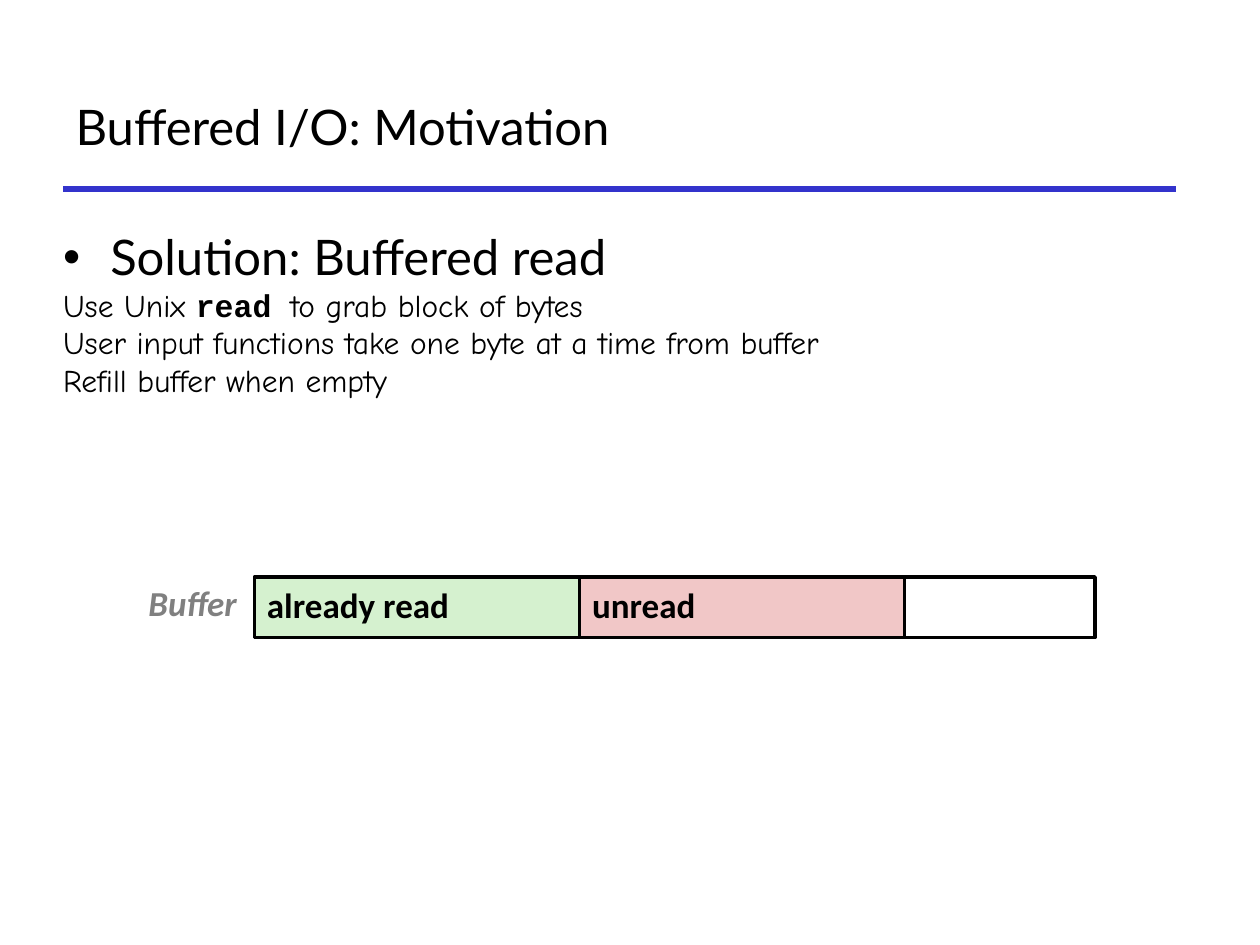
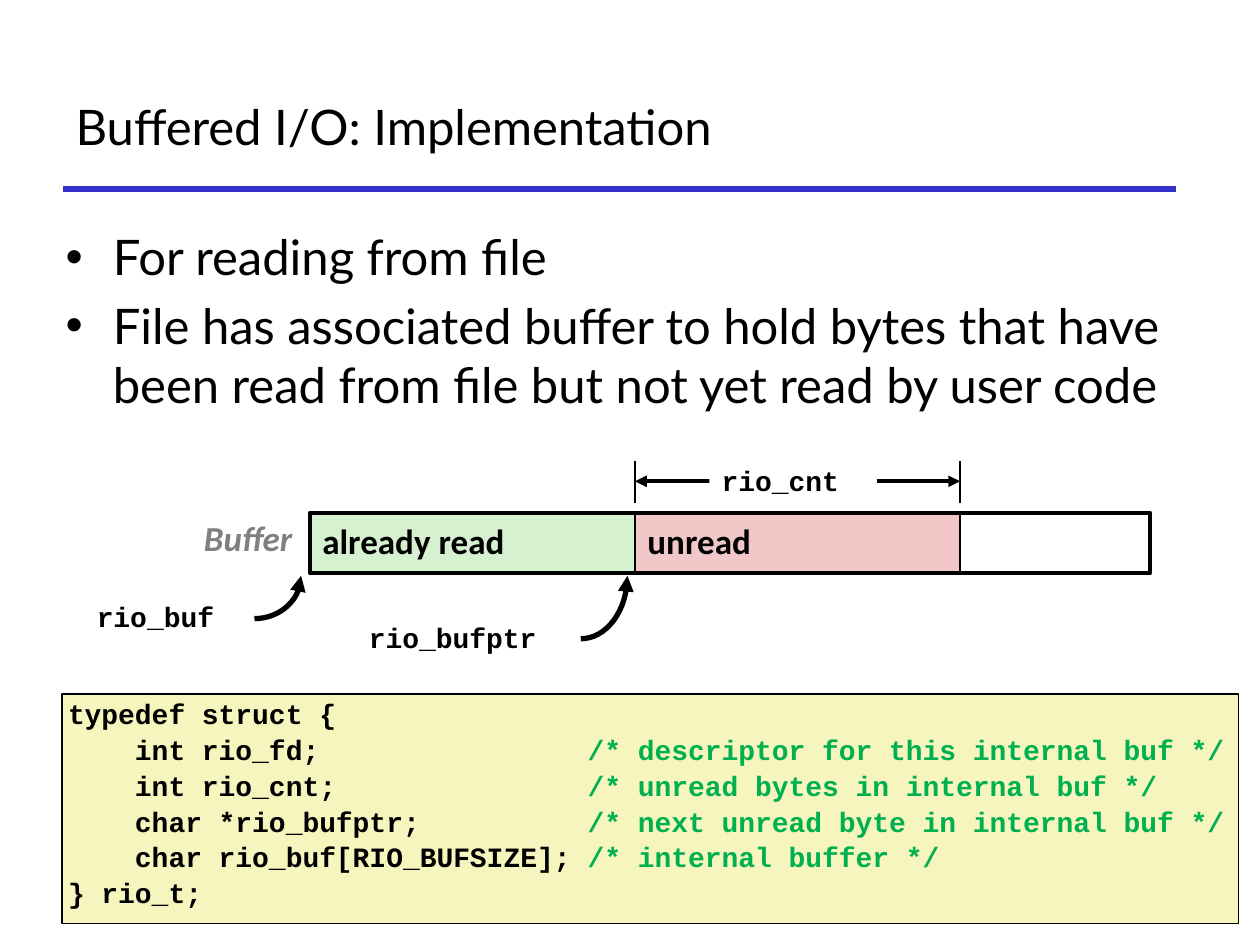
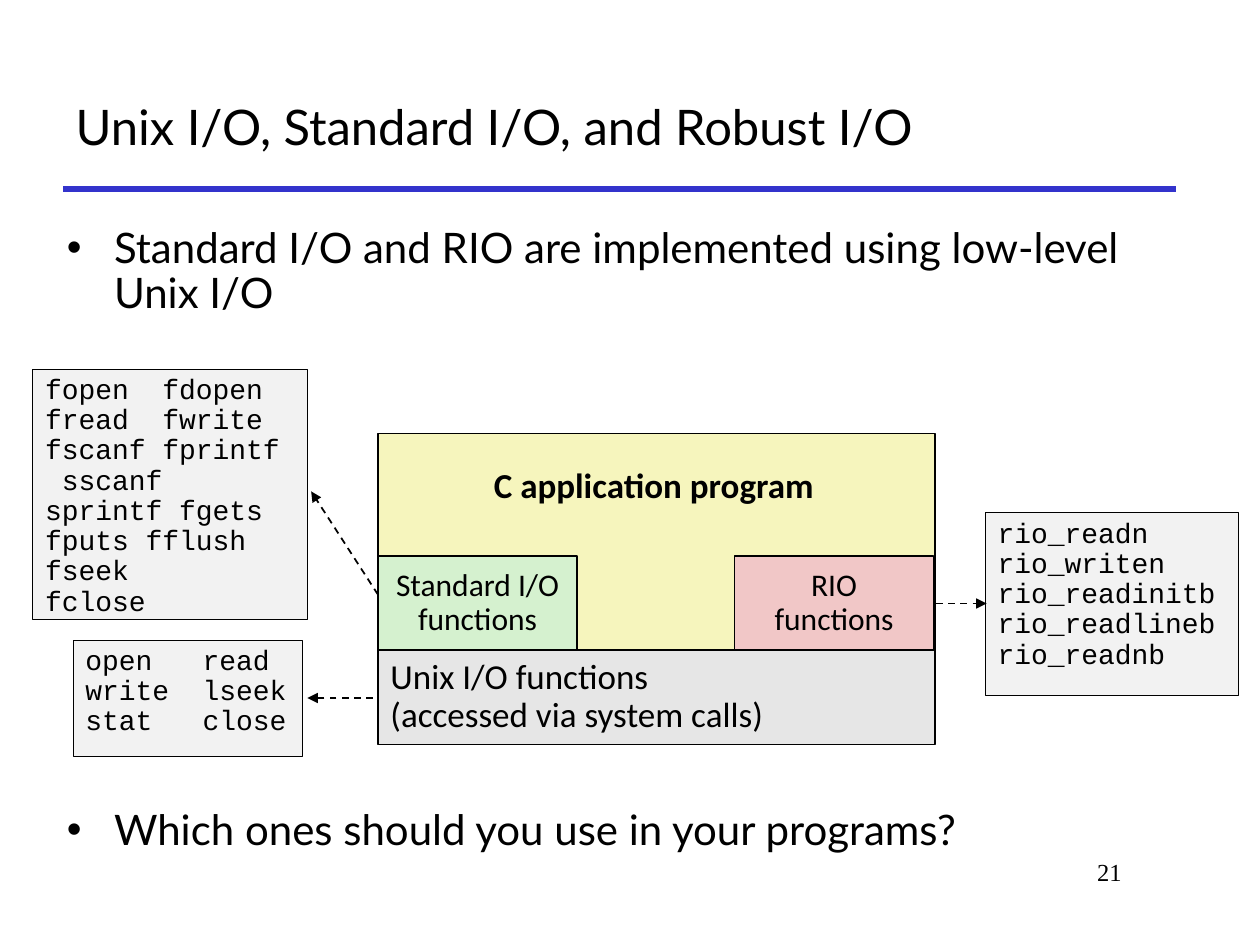
from math import cos, pi, sin

from lxml import etree
from pptx import Presentation
from pptx import util as u
from pptx.dml.color import RGBColor
from pptx.enum import dml, shapes, text
from pptx.oxml import ns

BLACK, GREEN, PINK, CREAM = "000000", "D5F1CF", "F1C7C7", "F6F5BD"
WHITE, PALE, SILVER, GRAY = "FFFFFF", "F2F2F2", "E6E6E6", "808080"
RULE, COMMENT = "3333CC", "00B050"
HEADING, LABEL, CODE, CASUAL = "Lato", "Calibri", "Courier New", "Comic Neue"
LEFT, CENTER, RIGHT = text.PP_ALIGN.LEFT, text.PP_ALIGN.CENTER, text.PP_ALIGN.RIGHT
TOP, MIDDLE = text.MSO_ANCHOR.TOP, text.MSO_ANCHOR.MIDDLE
TIGHT = 0.9
SEGMENT_WIDTH, BUFFER_WIDTH, BUFFER_HEIGHT = 2.58, 6.67, 0.48
SEGMENTS = [("already read", GREEN), ("unread", PINK)]
COMMENT_COLUMN = 31

MOTIVATION = "Buffered I/O: Motivation"
SOLUTION = ["Solution: Buffered read"]
SOLUTION_STEPS = [
    ["Use Unix ", ("read ", {"font": CODE, "bold": True}), "to grab block of bytes"],
    "User input functions take one byte at a time from buffer",
    "Refill buffer when empty",
]

IMPLEMENTATION = "Buffered I/O: Implementation"
BUFFER_FACTS = [
    "For reading from file",
    "File has associated buffer to hold bytes that have been read from file "
    "but not yet read by user code",
]
POINTERS = [
    ("rio_buf", (0.67, 4.74, 1.14, 0.34), (2.02, 4.57, 0.37, 0.34)),
    ("rio_bufptr", (2.83, 4.91, 1.75, 0.34), (4.61, 4.57, 0.37, 0.5)),
]
STRUCT = [
    ("typedef struct {", ""),
    ("    int rio_fd;", "/* descriptor for this internal buf */"),
    ("    int rio_cnt;", "/* unread bytes in internal buf */"),
    ("    char *rio_bufptr;", "/* next unread byte in internal buf */"),
    ("    char rio_buf[RIO_BUFSIZE];", "/* internal buffer */"),
    ("} rio_t;", ""),
]

COMPARISON = "Unix I/O, Standard I/O, and Robust I/O"
CLAIM = ["Standard I/O and RIO are implemented using low-level Unix I/O"]
QUESTION = ["Which ones should you use in your programs?"]
PROGRAM = ["C application program"]
UNIX_LAYER = ["Unix I/O functions", "(accessed via system calls)"]
LIBRARIES = [
    (["Standard I/O", "functions"], 3, GREEN),
    (["RIO", "functions"], 5.83, PINK),
]
FUNCTION_LISTS = [
    ((0.26, 2.93, 2.18, 1.99), True, [
        "fopen  fdopen",
        "fread  fwrite fscanf fprintf  sscanf sprintf fgets  fputs fflush fseek",
        "fclose",
    ]),
    ((0.58, 5.08, 1.82, 0.92), False, ["open   read", "write  lseek", "stat   close"]),
    ((7.82, 4.07, 2.01, 1.45), True, [
        "rio_readn", "rio_writen", "rio_readinitb", "rio_readlineb", "rio_readnb",
    ]),
]
FUNCTION_ARROWS = [
    ((2.96, 5.54), (2.44, 5.54)),
    ((3, 4.72), (2.47, 3.9)),
    ((7.43, 4.79), (7.83, 4.79)),
]


def inches(values):
    return [u.Inches(value) for value in values]


def color(value):
    return RGBColor.from_string(value)


def write(shape, lines, size=20, font=LABEL, fill=BLACK, bold=False, italic=False,
          align=LEFT, spacing=1, before=0.0, anchor=TOP, wrap=True, inset=None,
          plain=False):
    frame = shape.text_frame
    frame.auto_size = text.MSO_AUTO_SIZE.NONE
    frame.word_wrap = wrap
    frame.vertical_anchor = anchor
    if inset is not None:
        frame.margin_left = frame.margin_right = u.Inches(inset)
        frame.margin_top = frame.margin_bottom = u.Inches(inset)
    for line in lines:
        last = frame.paragraphs[-1]
        paragraph = frame.add_paragraph() if last.runs else last
        paragraph.alignment = align
        paragraph.line_spacing = spacing
        paragraph.space_before = u.Pt(before)
        if plain:
            properties = paragraph._p.get_or_add_pPr()
            properties.set("marL", "0")
            properties.set("indent", "0")
            etree.SubElement(properties, ns.qn("a:buNone"))
        for part in [line] if isinstance(line, str) else line:
            content, changes = (part, {}) if isinstance(part, str) else part
            run = paragraph.add_run()
            run.text = content
            run.font.size = u.Pt(size)
            run.font.name = changes.get("font", font)
            run.font.bold = changes.get("bold", bold)
            run.font.italic = italic
            run.font.color.rgb = color(changes.get("fill", fill))


def add_label(slide, area, lines, **style):
    label = slide.shapes.add_textbox(*inches(area))
    write(label, lines, **style)


def outline(shape, fill, width):
    shape.shadow.inherit = False
    if fill:
        shape.fill.solid()
        shape.fill.fore_color.rgb = color(fill)
    else:
        shape.fill.background()
    if width:
        shape.line.color.rgb = color(BLACK)
        shape.line.width = u.Pt(width)
    else:
        shape.line.fill.background()


def add_box(slide, area, fill=None, width=1.0, lines=(), **style):
    box = slide.shapes.add_shape(shapes.MSO_SHAPE.RECTANGLE, *inches(area))
    outline(box, fill, width)
    write(box, lines, **style)


def add_arrowheads(shape, ends):
    line = shape.line._get_or_add_ln()
    for end in ends:
        etree.SubElement(line, ns.qn(f"a:{end}"), type="triangle")


def add_line(slide, start, finish, width, stroke=BLACK, dashed=False, ends=()):
    line = slide.shapes.add_connector(
        shapes.MSO_CONNECTOR.STRAIGHT, *inches(start + finish))
    line.line.color.rgb = color(stroke)
    line.line.width = u.Pt(width)
    if dashed:
        line.line.dash_style = dml.MSO_LINE.DASH
    add_arrowheads(line, ends)
    etree.SubElement(line._element.spPr, ns.qn("a:effectLst"))


def add_curved_arrow(slide, left, top, width, height, steps=16):
    angles = [pi / 2 * step / steps for step in range(steps + 1)]
    points = [inches((left + width * cos(angle), top + height * sin(angle)))
              for angle in angles]
    builder = slide.shapes.build_freeform(*points[0])
    builder.add_line_segments(points[1:], close=False)
    arrow = builder.convert_to_shape()
    outline(arrow, None, 3)
    add_arrowheads(arrow, ["headEnd"])


def add_slide(presentation, title, body_area):
    slide = presentation.slides.add_slide(presentation.slide_layouts[1])
    add_line(slide, (0.5, 1.5), (9.33, 1.5), 3, RULE)
    heading, body = slide.placeholders
    for placeholder, area in [(heading, (0.5, 0.5, 8.83, 1)), (body, body_area)]:
        (placeholder.left, placeholder.top,
         placeholder.width, placeholder.height) = inches(area)
    write(heading, [title], size=28, font=HEADING, anchor=MIDDLE)
    return slide, body


def draw_buffer(slide, left, top):
    for index, (name, fill) in enumerate(SEGMENTS):
        area = (left + index * SEGMENT_WIDTH, top, SEGMENT_WIDTH, BUFFER_HEIGHT)
        add_box(slide, area, fill, 1.5, [name], bold=True, spacing=TIGHT,
                before=4, anchor=MIDDLE)
    add_box(slide, (left, top, BUFFER_WIDTH, BUFFER_HEIGHT), width=2.25)
    add_label(slide, (left - 0.94, top + 0.02, 0.92, 0.44), ["Buffer"], fill=GRAY,
              bold=True, italic=True, spacing=TIGHT, before=4, wrap=False)


def build_motivation(presentation):
    slide, body = add_slide(presentation, MOTIVATION, (0.4, 1.75, 9.09, 3))
    write(body, SOLUTION, size=28, font=HEADING, before=5.6)
    write(body, SOLUTION_STEPS, size=18, font=CASUAL, plain=True)
    draw_buffer(slide, 2.02, 4.58)


def build_implementation(presentation):
    slide, body = add_slide(presentation, IMPLEMENTATION, (0.42, 1.75, 9.09, 4.33))
    write(body, BUFFER_FACTS, size=28, font=HEADING, before=5.6)
    left, top = 2.46, 4.07
    draw_buffer(slide, left, top)
    code = dict(size=16, font=CODE, bold=True, spacing=TIGHT, before=3.2)
    for name, area, curve in POINTERS:
        add_label(slide, area, [name], **code)
        add_curved_arrow(slide, *curve)
    start, finish = left + SEGMENT_WIDTH, left + 2 * SEGMENT_WIDTH
    for edge in (start, finish):
        add_line(slide, (edge, 3.99), (edge, 3.66), 1.5)
    add_line(slide, (start, 3.82), (finish, 3.82), 2.25, ends=["headEnd", "tailEnd"])
    add_box(slide, (5.63, 3.66, 1.33, 0.34), WHITE, 0, ["rio_cnt"], **code)
    struct = [[source.ljust(COMMENT_COLUMN), (comment, {"fill": COMMENT})]
              if comment else source for source, comment in STRUCT]
    add_box(slide, (0.49, 5.51, 9.34, 1.82), CREAM, 1, struct, inset=0.05, **code)


def build_comparison(presentation):
    slide, body = add_slide(presentation, COMPARISON, (0.43, 1.75, 9.09, 4.91))
    point = dict(size=24, font=HEADING, spacing=TIGHT)
    write(body, CLAIM, before=4.8, **point)
    write(body, QUESTION, before=281, **point)
    add_label(slide, (7.58, 6.75, 1.42, 0.5), ["21"], size=14,
              font="Times New Roman", align=RIGHT)
    left, width, layer_top, layer_height = 3, 4.42, 5.16, 0.75
    add_box(slide, (left, 3.44, width, layer_top - 3.44), CREAM)
    add_box(slide, (left, layer_top, width, layer_height), SILVER, 1, UNIX_LAYER,
            spacing=TIGHT, anchor=MIDDLE)
    for name, library_left, fill in LIBRARIES:
        area = (library_left, layer_top - layer_height, 1.58, layer_height)
        add_box(slide, area, fill, 1, name, size=18, align=CENTER, spacing=TIGHT,
                anchor=MIDDLE)
    add_label(slide, (3.81, 3.67, 2.76, 0.44), PROGRAM, bold=True, align=CENTER,
              spacing=TIGHT, before=4, wrap=False)
    for area, wrap, functions in FUNCTION_LISTS:
        add_box(slide, area, PALE, 0.5, functions, size=16, font=CODE,
                spacing=TIGHT, wrap=wrap)
    for start, finish in FUNCTION_ARROWS:
        add_line(slide, start, finish, 1, dashed=True, ends=["tailEnd"])


def main():
    presentation = Presentation()
    presentation.slide_width, presentation.slide_height = inches((10, 7.5))
    build_motivation(presentation)
    build_implementation(presentation)
    build_comparison(presentation)
    presentation.save("out.pptx")


if __name__ == "__main__":
    main()
